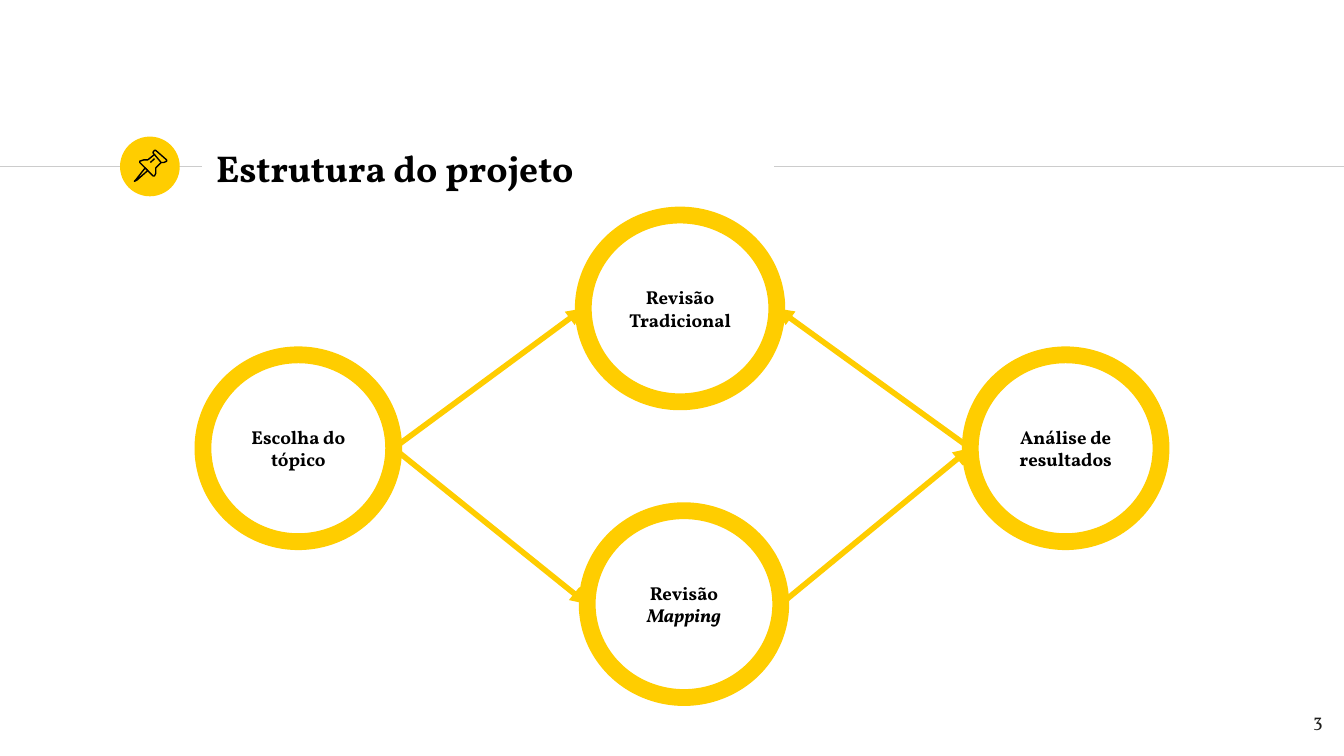
from typing import Any, NamedTuple

from lxml.etree import SubElement
from pptx import Presentation
from pptx.dml.color import RGBColor
from pptx.enum.shapes import MSO_CONNECTOR, MSO_SHAPE
from pptx.enum.text import MSO_ANCHOR, PP_ALIGN
from pptx.oxml.ns import qn
from pptx.util import Pt

GOLD, GREY, BLACK, INK = "FFCD00", "CCCCCC", "000000", "1D1D1B"
FONT = "Vollkorn"
INSET = 7.2
Point = tuple[float, float]


class Box(NamedTuple):
    x: float
    y: float
    w: float
    h: float

    @property
    def left(self) -> Point:
        return self.x, self.y + self.h / 2

    @property
    def right(self) -> Point:
        return self.x + self.w, self.y + self.h / 2


class Ring(NamedTuple):
    box: Box
    lines: list[str]
    slant: bool = False  # last line in italics


class Stroke(NamedTuple):
    dots: list[Point]
    closed: bool


def hue(code: str) -> RGBColor:
    return RGBColor.from_string(code)


def apply(item: Any, look: dict[str, Any]) -> None:
    for name, value in look.items():
        setattr(item, name, value)


def ink(line: Any, code: str, width: float) -> None:
    line.color.rgb = hue(code)
    line.width = Pt(width)


def write(shape: Any, lines: list[str], size: float, code: str = BLACK,
          bold: bool = True, align: Any = PP_ALIGN.LEFT,
          anchor: Any = MSO_ANCHOR.MIDDLE, slant: bool = False) -> None:
    frame = shape.text_frame
    pad = {f"margin_{side}": Pt(INSET) for side in ("left", "right", "top", "bottom")}
    apply(frame, {"word_wrap": True, "vertical_anchor": anchor, **pad})
    for i, text in enumerate(lines):
        para = frame.paragraphs[0] if i == 0 else frame.add_paragraph()
        para.alignment = align
        run = para.add_run()
        run.text = text
        apply(run.font, {"name": FONT, "size": Pt(size), "bold": bold,
                         "italic": slant and i == len(lines) - 1})
        run.font.color.rgb = hue(code)


def label(shapes: Any, box: Box, text: str, size: float, **look: Any) -> None:
    write(shapes.add_textbox(*map(Pt, box)), [text], size, **look)


def oval(shapes: Any, box: Box) -> Any:
    shape = shapes.add_shape(MSO_SHAPE.OVAL, *map(Pt, box))
    shape.shadow.inherit = False
    return shape


def link(shapes: Any, start: Point, end: Point, code: str, width: float,
         arrow: bool = False) -> None:
    line = shapes.add_connector(MSO_CONNECTOR.STRAIGHT, *map(Pt, start + end))
    ink(line.line, code, width)
    props = line._element.spPr
    if arrow:
        SubElement(props.find(qn("a:ln")), qn("a:tailEnd"), type="triangle")
    SubElement(props, qn("a:effectLst"))


def ring(shapes: Any, node: Ring) -> None:
    shape = oval(shapes, node.box)
    shape.fill.background()
    ink(shape.line, GOLD, 9)
    write(shape, node.lines, 10, align=PP_ALIGN.CENTER, slant=node.slant)


def trace(shapes: Any, stroke: Stroke) -> None:
    # Dots are in tenths of a point
    first, *rest = stroke.dots
    pen = shapes.build_freeform(*first, scale=Pt(1) / 10)
    pen.add_line_segments(rest, close=stroke.closed)
    shape = pen.convert_to_shape()
    shape.shadow.inherit = False
    shape.fill.background()
    ink(shape.line, BLACK, 0.75)


PIN = [
    # needle, cap, body, shine
    Stroke([(778, 900), (727, 965), (720, 972), (734, 965), (792, 914)], True),
    Stroke([(828, 828), (864, 871), (878, 871), (893, 864), (893, 857),
            (835, 806), (828, 806), (821, 814), (821, 821)], True),
    Stroke([(828, 828), (792, 857), (770, 857), (749, 864), (749, 871),
            (821, 943), (828, 943), (835, 929), (835, 900), (864, 871)], False),
    Stroke([(806, 871), (828, 850)], False),
]

TALL, SIDE, MID = 100.1, 102.2, 103.7
TOPIC = Ring(Box(108.7, 190.1, SIDE, TALL), ["Escolha do tópico"])
RESULT = Ring(Box(519.8, 190.1, SIDE, TALL), ["Análise de resultados"])
TRAD = Ring(Box(312.5, 115.2, MID, TALL), ["Revisão Tradicional"])
MAP = Ring(Box(314.6, 273.6, MID, TALL), ["Revisão", "Mapping"], True)


def main() -> None:
    deck = Presentation()
    apply(deck, {"slide_width": Pt(720), "slide_height": Pt(405)})
    shapes = deck.slides.add_slide(deck.slide_layouts[6]).shapes

    # Heading rule, badge and title
    rule = 89.2
    link(shapes, (0, rule), (108, rule), GREY, 0.75)
    badge = oval(shapes, Box(64.3, 73.2, 32, 32))
    badge.fill.solid()
    badge.fill.fore_color.rgb = hue(GOLD)
    badge.line.fill.background()
    link(shapes, (414.7, rule), (720, rule), GREY, 0.75)
    label(shapes, Box(108.7, 72.7, 305.3, 34.6), "Estrutura do projeto", 20)

    # Pin on the badge
    group = shapes.add_group_shape()
    for stroke in PIN:
        trace(group.shapes, stroke)

    # Page number
    label(shapes, Box(672.5, 373.7, 43.2, 31), "3", 10, code=INK, bold=False,
          align=PP_ALIGN.RIGHT, anchor=MSO_ANCHOR.TOP)

    # Rings and the arrows between them
    for node in (TOPIC, RESULT, TRAD, MAP):
        ring(shapes, node)
    for start, end in (
        (TOPIC.box.right, TRAD.box.left),
        (TOPIC.box.right, MAP.box.left),
        (MAP.box.right, RESULT.box.left),
        (RESULT.box.left, TRAD.box.right),
    ):
        link(shapes, start, end, GOLD, 3, arrow=True)

    deck.save("out.pptx")


if __name__ == "__main__":
    main()
